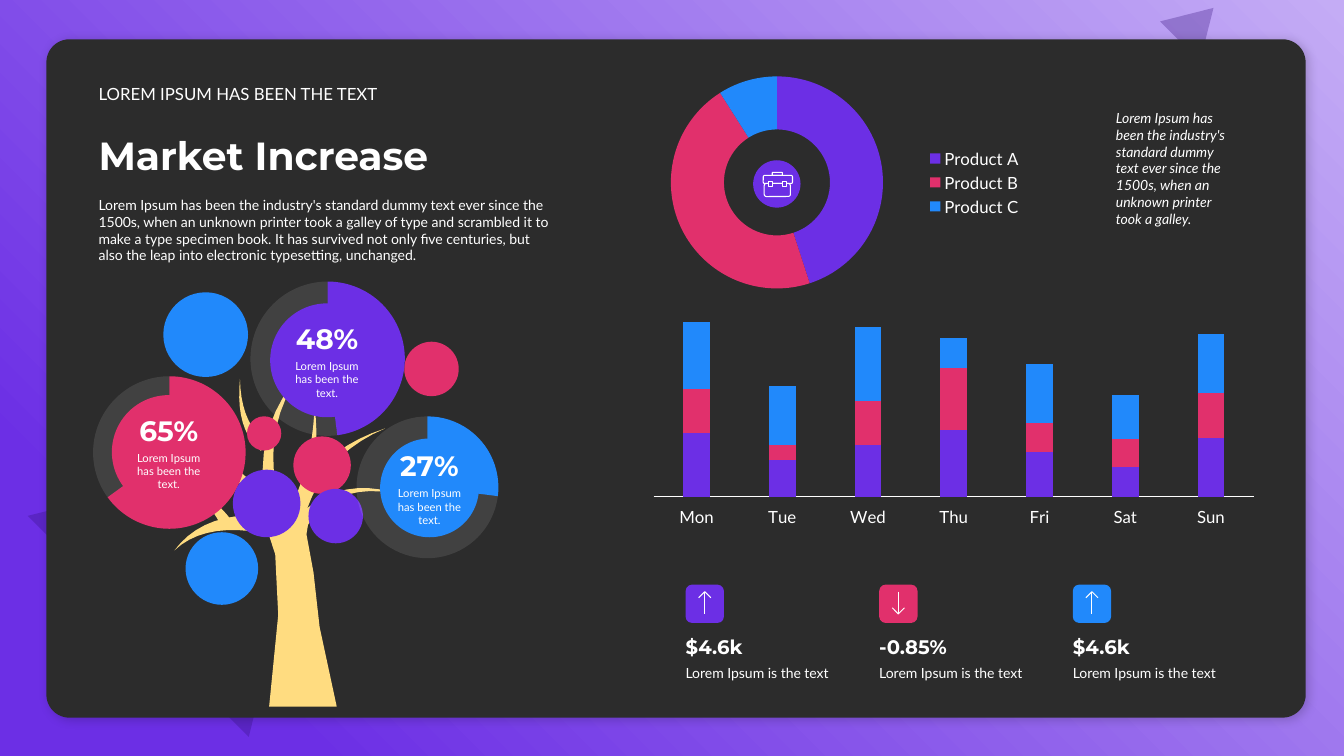
from math import hypot
from lxml import etree
from pptx import Presentation
from pptx.chart.data import CategoryChartData
from pptx.dml.color import RGBColor
from pptx.enum.chart import XL_CHART_TYPE, XL_LEGEND_POSITION, XL_TICK_LABEL_POSITION, XL_TICK_MARK
from pptx.enum.shapes import MSO_SHAPE
from pptx.enum.text import MSO_ANCHOR, MSO_AUTO_SIZE, PP_ALIGN
from pptx.oxml import parse_xml
from pptx.oxml.ns import nsdecls, qn
from pptx.util import Cm, Pt

RECT, ROUND, OVAL, TRI = (MSO_SHAPE.RECTANGLE, MSO_SHAPE.ROUNDED_RECTANGLE,
                          MSO_SHAPE.OVAL, MSO_SHAPE.ISOSCELES_TRIANGLE)
RING, STACK = XL_CHART_TYPE.DOUGHNUT, XL_CHART_TYPE.COLUMN_STACKED
TOP, MID, LOW = MSO_ANCHOR.TOP, MSO_ANCHOR.MIDDLE, MSO_ANCHOR.BOTTOM
LEFT, CENTER = PP_ALIGN.LEFT, PP_ALIGN.CENTER


class Theme:
    dark, white, sand, deep, pale = "2C2C2C", "FFFFFF", "FFDC80", "330F7B", "C4ACF5"
    violet, pink, blue = "6C2FE5", "E1306C", "2189FB"
    body, head = "Lato", "Montserrat"
    tiny, small, plain, stat, big, title = 8, 10, 12, 14, 20, 28


T = Theme
HUES = (T.violet, T.pink, T.blue)

# Content; positions are in inches and become Cm in unit()
KICKER = "LOREM IPSUM HAS BEEN THE TEXT"
TITLE = "Market Increase"
INTRO = ("Lorem Ipsum has been the industry's standard dummy text ever since the 1500s, "
         "when an unknown printer took a galley of type and scrambled it to make a type "
         "specimen book. It has survived not only five centuries, but also the leap into "
         "electronic typesetting, unchanged.")
ASIDE = ("Lorem Ipsum has been the industry's standard dummy text ever since the 1500s, "
         "when an unknown printer took a galley.")
SHARE = {"Product A": 45, "Product B": 46, "Product C": 9}
DAYS = ["Mon", "Tue", "Wed", "Thu", "Fri", "Sat", "Sun"]
SALES = [(86, 50, 70, 90, 60, 40, 80), (60, 20, 60, 84, 40, 38, 60),
         (90, 80, 100, 40, 80, 60, 80)]
STATS = [("$4.6k", 1), ("-0.85%", -1), ("$4.6k", 1)]  # value, arrow direction
STAT_NOTE = "Lorem Ipsum is the text"
FRUIT_NOTE = "Lorem Ipsum has been the text."
# percent, colour, ring box, disc box
FRUITS = [(65, T.pink, (0.82, 3.7, 1.72, 1.58), (1.11, 3.92, 1.13, 1.13)),
          (48, T.violet, (2.38, 2.76, 1.74, 1.6), (2.68, 3.01, 1.13, 1.13)),
          (27, T.blue, (3.44, 4.1, 1.6, 1.47), (3.77, 4.35, 0.98, 0.98))]
LEAVES = [(1.84, 5.28, 0.72, T.blue), (2.31, 4.66, 0.67, T.violet), (2.91, 4.33, 0.57, T.pink),
          (1.62, 2.9, 0.84, T.blue), (3.06, 4.85, 0.54, T.violet), (4.01, 3.39, 0.54, T.pink)]
BUD = (2.45, 4.13, 0.34, T.pink)
TRUNK = [(2.67, 7.01), (2.76, 6.1), (2.73, 5.5), (2.6, 5.1), (3.07, 5.12),
         (3.04, 5.3), (3.11, 5.68), (3.17, 6.22), (3.34, 7.01)]
# base, bend, tip, width at the base
TWIGS = [((2.72, 5.22), (2.05, 5.1), (1.73, 5.46), 0.2),
         ((2.25, 5.2), (2.1, 4.95), (1.8, 4.76), 0.12),
         ((2.7, 5.12), (2.35, 4.55), (1.65, 4.34), 0.14),
         ((2.74, 5.15), (2.5, 4.3), (2.98, 3.71), 0.16),
         ((2.64, 4.45), (2.36, 4.25), (2.38, 3.76), 0.12),
         ((2.92, 5.15), (3.15, 4.6), (3.12, 4.01), 0.16),
         ((2.96, 5.12), (3.15, 4.5), (3.82, 4.25), 0.14),
         ((2.98, 5.16), (3.4, 4.72), (4.01, 4.92), 0.1),
         ((3.04, 5.18), (3.25, 4.85), (3.56, 5.1), 0.08)]


def unit(*nums):
    return [Cm(2.54 * n) for n in nums]


def rgb(hue):
    return RGBColor.from_string(hue)


def paint(part, hue, alpha=None):
    """Solid fill, optionally see-through, and no outline."""
    part.fill.solid()
    part.fill.fore_color.rgb = rgb(hue)
    part.line.fill.background()
    if alpha:
        tone = part.fill._xPr.find(qn("a:solidFill"))[0]
        etree.SubElement(tone, qn("a:alpha"), val=str(alpha * 1000))


def stroke(part):
    part.fill.background()
    part.line.color.rgb = rgb(T.white)
    part.line.width = Pt(0.75)
    part.shadow.inherit = False


def form(kind, box, hue, alpha=None):
    part = slide.shapes.add_shape(kind, *unit(*box))
    part.shadow.inherit = False
    paint(part, hue, alpha)
    return part


def write(frame, lines, anchor=TOP, side=0.1, align=LEFT, before=0, after=0):
    """Each line is (text, size, font, bold, italic)."""
    frame.word_wrap, frame.vertical_anchor = True, anchor
    frame.margin_left, frame.margin_right = unit(side, side)
    frame.margin_top, frame.margin_bottom = unit(0.05, 0.05)
    for i, (text, size, font, bold, slant) in enumerate(lines):
        para = frame.add_paragraph() if i else frame.paragraphs[0]
        para.alignment, para.space_before, para.space_after = align, Pt(before), Pt(after)
        run = para.add_run()
        run.text = text
        run.font.size, run.font.name = Pt(size), font
        run.font.bold, run.font.italic = bold, slant
        run.font.color.rgb = rgb(T.white)


def label(box, text, size, font=T.body, bold=False, slant=False, **look):
    frame = slide.shapes.add_textbox(*unit(*box)).text_frame
    write(frame, [(text, size, font, bold, slant)], **look)
    frame.auto_size = MSO_AUTO_SIZE.SHAPE_TO_FIT_TEXT


def chart(kind, box, cats, rows, size):
    data = CategoryChartData()
    data.categories = cats
    for i, row in enumerate(rows, 1):
        data.add_series(f"Series {i}", row)
    graph = slide.shapes.add_chart(kind, *unit(*box), data).chart
    graph.has_title = graph.has_legend = False
    graph.font.size, graph.font.name = Pt(size), T.body
    graph.font.color.rgb = rgb(T.white)
    return graph


def ring(box, cats, vals, fills, hole):
    graph = chart(RING, box, cats, [vals], T.small)
    plot = graph.plots[0]
    plot.vary_by_categories = True
    plot._element.find(qn("c:holeSize")).set("val", str(hole))
    for i, fill in enumerate(fills):
        paint(plot.series[0].points[i].format, *fill)
    return graph


def fruit_ring(share, hue, box):
    graph = ring(box, ["1", "2"], [share, 100 - share], [(hue,), (T.white, 10)], 80)
    area = graph._chartSpace.chart.plotArea
    for old in area.findall(qn("c:layout")):
        area.remove(old)
    spots = "".join(f'<c:{k} val="{v}"/>' for k, v in (
        ("layoutTarget", "inner"), ("xMode", "edge"), ("yMode", "edge"),
        ("x", 0.06), ("y", 0.02), ("w", 0.88), ("h", 0.96)))
    area.insert(0, parse_xml(f'<c:layout {nsdecls("c")}><c:manualLayout>{spots}'
                             '</c:manualLayout></c:layout>'))


def fruit_disc(share, hue, box):
    write(form(OVAL, box, hue).text_frame,
          [(f"{share}%", T.big, T.head, True, False),
           (FRUIT_NOTE, T.tiny, T.body, False, False)],
          anchor=MID, side=0, align=CENTER, before=3)


def leaf(x, y, size, hue):
    form(OVAL, (x, y, size, size), hue)


def wood(points):
    first, *rest = [unit(*p) for p in points]
    pen = slide.shapes.build_freeform(*first)
    pen.add_line_segments(rest, close=True)
    part = pen.convert_to_shape()
    part.shadow.inherit = False
    paint(part, T.sand)


def twig(base, bend, tip, width, steps=10):
    """Outline of a curved branch that narrows to its tip."""
    dx, dy = tip[0] - base[0], tip[1] - base[1]
    size, one, two = hypot(dx, dy), [], []
    for t in (n / steps for n in range(steps + 1)):
        x, y = ((1 - t)**2 * a + 2 * t * (1 - t) * b + t * t * c
                for a, b, c in zip(base, bend, tip))
        half = width * (1 - t) / 2
        ox, oy = -dy / size * half, dx / size * half
        one.append((x + ox, y + oy))
        two.append((x - ox, y - oy))
    return one + two[::-1]


deck = Presentation()
deck.slide_width, deck.slide_height = unit(13.33, 7.5)
slide = deck.slides.add_slide(deck.slide_layouts[6])
slide.background.fill.solid()
slide.background.fill.fore_color.rgb = rgb(T.dark)

# Backdrop and panel
wash = form(RECT, (0, 0, 13.33, 7.5), T.violet)._element.spPr
wash.replace(wash.find(qn("a:solidFill")), parse_xml(
    f'<a:gradFill {nsdecls("a")} rotWithShape="1"><a:gsLst>'
    f'<a:gs pos="0"><a:srgbClr val="{T.pale}"/></a:gs>'
    f'<a:gs pos="85000"><a:srgbClr val="{T.violet}"/></a:gs></a:gsLst>'
    '<a:path path="circle"><a:fillToRect l="100000" b="100000"/></a:path></a:gradFill>'))
for box in ((0.73, 4.02, 3.1, 2.57), (11.59, 0.01, 0.56, 0.47)):
    form(TRI, box, T.deep, 30).rotation = 45
panel = form(ROUND, (0.46, 0.39, 12.49, 6.73), T.dark)
panel.adjustments[0] = 0.034
panel._element.spPr.find(qn("a:effectLst")).append(parse_xml(
    f'<a:outerShdw {nsdecls("a")} blurRad="{Pt(8)}" dist="{Pt(3)}" dir="2700000" algn="tl" '
    'rotWithShape="0"><a:srgbClr val="000000"><a:alpha val="20000"/></a:srgbClr></a:outerShdw>'))

# Heading
label((0.88, 1.9, 4.73, 0.77), INTRO, T.small, after=6)
label((0.88, 1.25, 4.73, 0.57), TITLE, T.title, T.head, True, anchor=LOW)
label((0.88, 0.78, 4.73, 0.3), KICKER, T.plain, anchor=LOW)

# Tree with leaves and fruits
wood(TRUNK)
for branch in TWIGS:
    wood(twig(*branch))
(share, hue, rim, disc), *others = FRUITS
fruit_ring(share, hue, rim)
for spot in LEAVES[:2]:
    leaf(*spot)
fruit_disc(share, hue, disc)
for spot in LEAVES[2:]:
    leaf(*spot)
for share, hue, rim, disc in others:
    fruit_ring(share, hue, rim)
    fruit_disc(share, hue, disc)
leaf(*BUD)

# Product ring with briefcase
pie = ring((6.24, 0.62, 4, 2.38), list(SHARE), list(SHARE.values()), [(h,) for h in HUES], 50)
pie.has_legend = True
pie.legend.position, pie.legend.include_in_layout = XL_LEGEND_POSITION.RIGHT, False
pie.legend.font.size, pie.legend.font.name = Pt(T.plain), T.body
pie.legend.font.color.rgb = rgb(T.white)
label((10.97, 1.03, 1.34, 1.28), ASIDE, T.small, slant=True, anchor=MID, after=6)
leaf(7.47, 1.59, 0.47, T.violet)
for box in ((7.66, 1.71, 0.1, 0.03), (7.58, 1.82, 0.26, 0.13), (7.57, 1.74, 0.29, 0.08)):
    stroke(form(ROUND, box, T.violet))
for x in (7.62, 7.76):
    clasp = form(RECT, (x, 1.8, 0.04, 0.05), T.violet)
    clasp.line.color.rgb, clasp.line.width = rgb(T.white), Pt(0.75)

# Daily columns
bars = chart(STACK, (6.36, 3.05, 6.2, 2.22), DAYS, SALES, T.plain)
bars.plots[0].gap_width, bars.plots[0].overlap = 220, 100
for row, hue in zip(bars.plots[0].series, HUES):
    paint(row.format, hue)
days, scale = bars.category_axis, bars.value_axis
days.major_tick_mark = days.minor_tick_mark = XL_TICK_MARK.NONE
days.tick_label_position = XL_TICK_LABEL_POSITION.LOW
days.tick_labels.font.size = Pt(T.plain)
days.format.line.color.rgb, days.format.line.width = rgb(T.white), Pt(0.75)
scale.visible = scale.has_major_gridlines = False
scale.minimum_scale, scale.maximum_scale = 0, 250

# Key figures
for i, ((value, up), hue) in enumerate(zip(STATS, HUES)):
    x = 6.8 + 1.92 * i
    form(ROUND, (x, 5.8, 0.38, 0.38), hue)
    mid, tail, tip = x + 0.19, 5.98 + 0.11 * up, 5.98 - 0.11 * up
    barb = tip + 0.06 * up
    pen = slide.shapes.build_freeform(*unit(mid, tail))
    pen.add_line_segments([unit(mid, tip)], close=False)
    pen.move_to(*unit(mid - 0.06, barb))
    pen.add_line_segments([unit(mid, tip), unit(mid + 0.06, barb)], close=False)
    stroke(pen.convert_to_shape())
    label((x, 6.54, 1.53, 0.27), STAT_NOTE, T.small, side=0)
    label((x, 6.24, 1.53, 0.34), value, T.stat, T.head, True, side=0, anchor=LOW)

deck.save("out.pptx")
